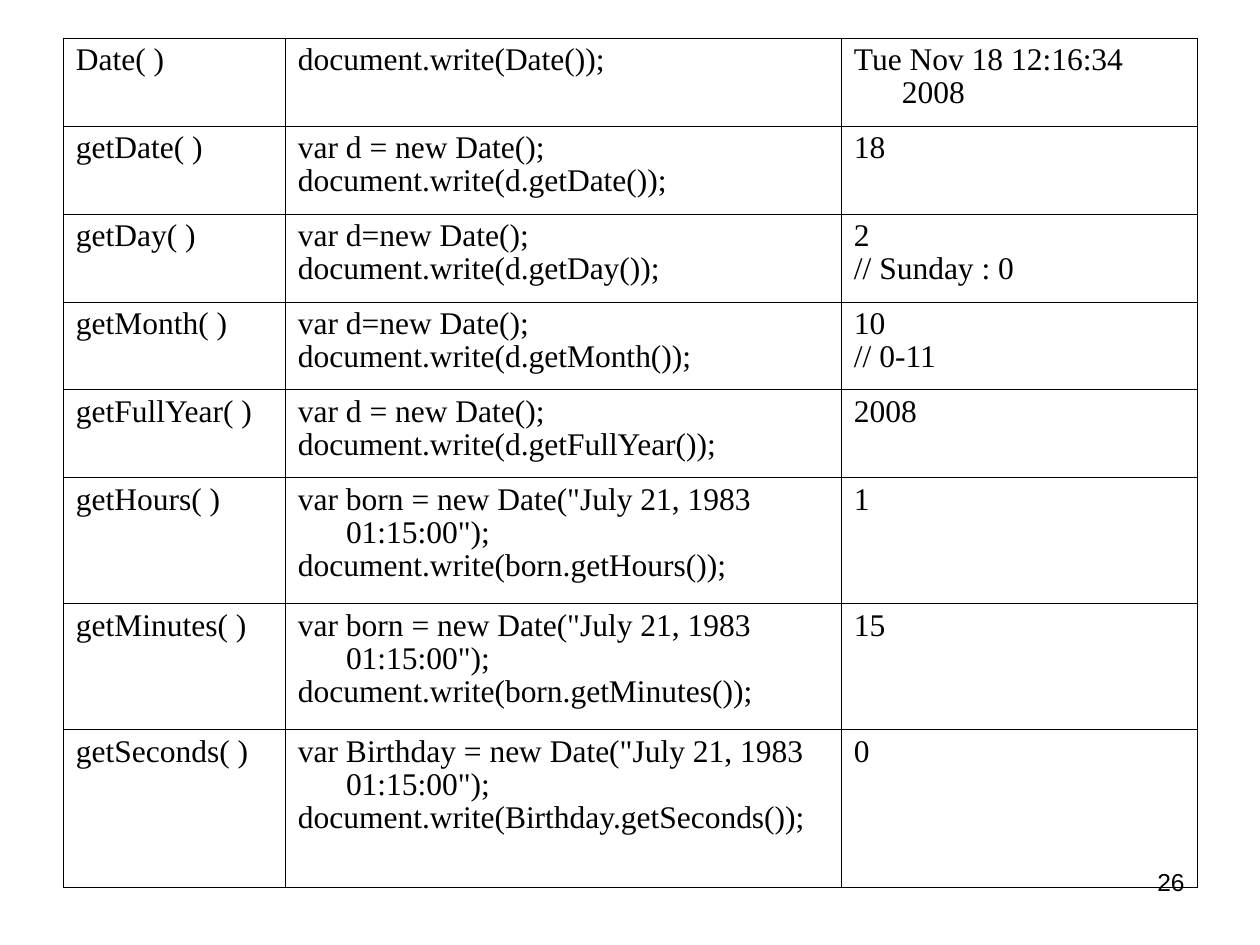
from dataclasses import dataclass

from lxml import etree
from pptx import Presentation
from pptx.dml.color import RGBColor
from pptx.enum import text
from pptx.oxml import ns
from pptx.util import Pt

PX = 914400 // 126
BLACK = RGBColor(0x00, 0x00, 0x00)
WHITE = RGBColor(0xFF, 0xFF, 0xFF)
BORDER_WIDTH = Pt(0.45)
HANGING_INDENT = 48
SIDE_INSET, EDGE_INSET = 13, 6
COLUMN_WIDTHS = (222, 556, 356)


@dataclass(frozen=True)
class Method:
    name: str
    code: str
    result: str
    height: int = 88


def getter(name: str, result: str, setup: str, variable: str = "d", height: int = 88) -> Method:
    code = f"var {variable}{setup}\ndocument.write({variable}.{name}());"
    return Method(f"{name}( )", code, result, height)


BIRTH = ' = new Date("July 21, 1983 01:15:00");'
METHODS = (
    Method("Date( )", "document.write(Date());", "Tue Nov 18 12:16:34 2008"),
    getter("getDate", "18", " = new Date();"),
    getter("getDay", "2\n// Sunday : 0", "=new Date();"),
    getter("getMonth", "10\n// 0-11", "=new Date();"),
    getter("getFullYear", "2008", " = new Date();"),
    getter("getHours", "1", BIRTH, "born", 126),
    getter("getMinutes", "15", BIRTH, "born", 126),
    getter("getSeconds", "0", BIRTH, "Birthday", 158),
)


def format_font(paragraph, name: str, size: int) -> None:
    for span in paragraph.runs:
        span.font.name = name
        span.font.size = Pt(size)
        span.font.color.rgb = BLACK


def add_borders(cell) -> None:
    properties = cell._tc.get_or_add_tcPr()
    for side in ("lnL", "lnR", "lnT", "lnB"):
        line = etree.SubElement(properties, ns.qn(f"a:{side}"), w=str(BORDER_WIDTH))
        fill = etree.SubElement(line, ns.qn("a:solidFill"))
        etree.SubElement(fill, ns.qn("a:srgbClr"), val=str(BLACK))


def fill_cell(cell, content: str) -> None:
    add_borders(cell)
    cell.fill.background()
    cell.margin_left = cell.margin_right = SIDE_INSET * PX
    cell.margin_top = cell.margin_bottom = EDGE_INSET * PX
    cell.text_frame.text = content
    for paragraph in cell.text_frame.paragraphs:
        paragraph.line_spacing = 0.95
        properties = paragraph._p.get_or_add_pPr()
        properties.set("marL", str(HANGING_INDENT * PX))
        properties.set("indent", str(-HANGING_INDENT * PX))
        format_font(paragraph, "Times New Roman", 18)


def add_method_table(page, left: int, top: int) -> None:
    width = sum(COLUMN_WIDTHS)
    height = sum(method.height for method in METHODS)
    table = page.shapes.add_table(
        len(METHODS), len(COLUMN_WIDTHS), left * PX, top * PX, width * PX, height * PX
    ).table
    table.first_row = table.horz_banding = False
    for column, column_width in zip(table.columns, COLUMN_WIDTHS):
        column.width = column_width * PX
    for row, method in zip(table.rows, METHODS):
        row.height = method.height * PX
        for cell, content in zip(row.cells, (method.name, method.code, method.result)):
            fill_cell(cell, content)


def add_page_number(page, number: str) -> None:
    box = page.shapes.add_textbox(903 * PX, 861 * PX, 294 * PX, 66 * PX)
    frame = box.text_frame
    frame.word_wrap = True
    frame.text = number
    paragraph = frame.paragraphs[0]
    paragraph.alignment = text.PP_ALIGN.RIGHT
    format_font(paragraph, "Arial", 14)


def main() -> None:
    deck = Presentation()
    deck.slide_width, deck.slide_height = 1260 * PX, 945 * PX
    page = deck.slides.add_slide(deck.slide_layouts[6])
    page.background.fill.solid()
    page.background.fill.fore_color.rgb = WHITE
    add_method_table(page, 63, 38)
    add_page_number(page, "26")
    deck.save("out.pptx")


if __name__ == "__main__":
    main()
